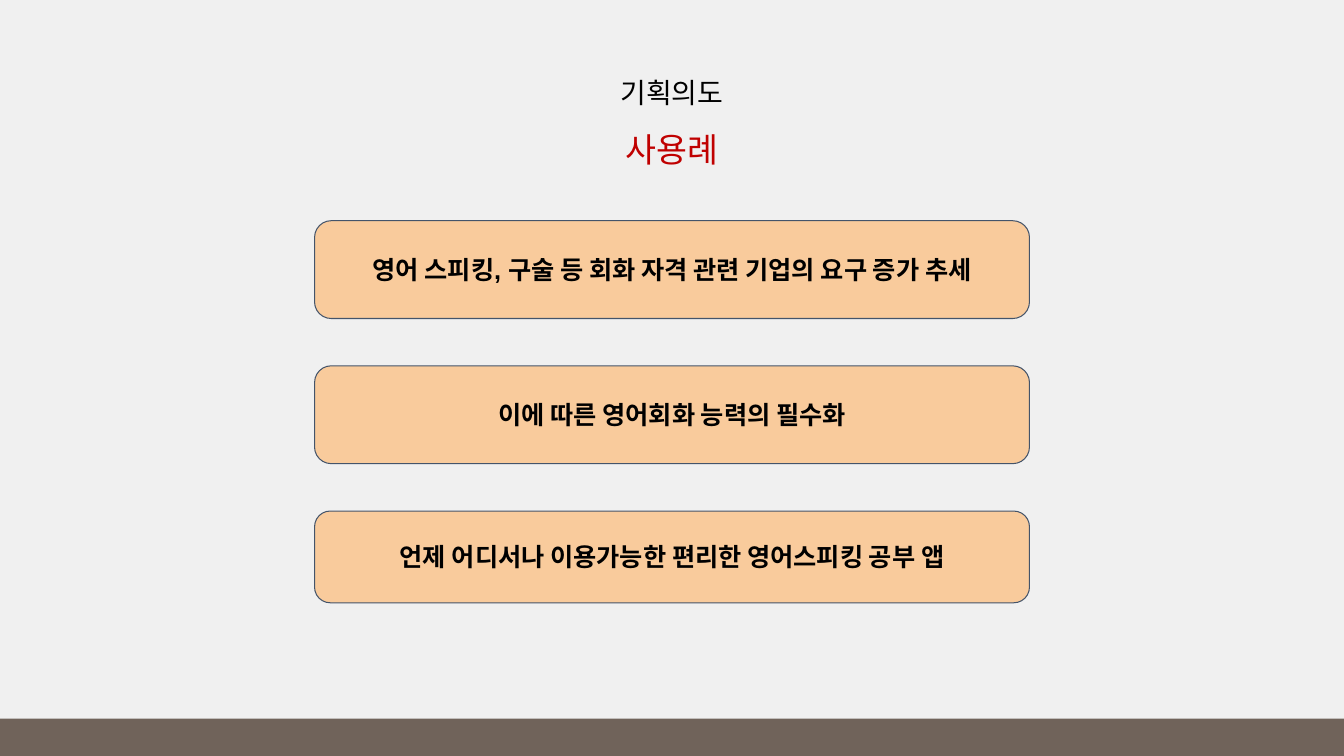
from pptx import Presentation
from pptx import util as u
from pptx.dml.color import RGBColor
from pptx.enum import shapes, text

COLORS = {
    "background": "F0F0F0",
    "footer": "70635A",
    "box": "F9CB9C",
    "outline": "44546A",
    "text": "000000",
    "accent": "C00000",
}


def add_block(kind, left, top, width, height, color):
    sp = s.shapes.add_shape(kind, u.Inches(left), u.Inches(top), u.Inches(width), u.Inches(height))
    sp.shadow.inherit = False
    sp.fill.solid()
    sp.fill.fore_color.rgb = RGBColor.from_string(COLORS[color])
    sp.line.fill.background()
    return sp


def add_run(p, words, size, color, bold=False):
    p.alignment = text.PP_ALIGN.CENTER
    r = p.add_run()
    r.text = words
    r.font.name = "Arial"
    r.font.size = u.Pt(size)
    r.font.bold = bold
    r.font.color.rgb = RGBColor.from_string(COLORS[color])


prs = Presentation()
prs.slide_width = u.Inches(13.33)
prs.slide_height = u.Inches(7.5)
s = prs.slides.add_slide(prs.slide_layouts[6])

add_block(shapes.MSO_SHAPE.RECTANGLE, 0, 0, 13.33, 7.5, "background")

title = s.shapes.add_textbox(u.Inches(3.81), u.Inches(0.53), u.Inches(5.71), u.Inches(1.14))
tf = title.text_frame
tf.word_wrap = True
headings = [("기획의도", 20, "text"), ("사용례", 24, "accent")]
for i, (words, size, color) in enumerate(headings):
    p = tf.add_paragraph() if i else tf.paragraphs[0]
    p.line_spacing = 1.5
    add_run(p, words, size, color)

reasons = [
    ("영어 스피킹, 구술 등 회화 자격 관련 기업의 요구 증가 추세", 0.97),
    ("이에 따른 영어회화 능력의 필수화", 0.97),
    ("언제 어디서나 이용가능한 편리한 영어스피킹 공부 앱", 0.91),
]
for i, (words, height) in enumerate(reasons):
    sp = add_block(shapes.MSO_SHAPE.ROUNDED_RECTANGLE, 3.12, 2.19 + 1.44 * i, 7.09, height, "box")
    sp.adjustments[0] = 0.17
    sp.line.color.rgb = RGBColor.from_string(COLORS["outline"])
    sp.line.width = u.Pt(0.75)
    tf = sp.text_frame
    tf.word_wrap = True
    tf.vertical_anchor = text.MSO_ANCHOR.MIDDLE
    tf.margin_left = tf.margin_right = tf.margin_top = tf.margin_bottom = u.Inches(0.1)
    add_run(tf.paragraphs[0], words, 18, "text", bold=True)

add_block(shapes.MSO_SHAPE.RECTANGLE, 0, 7.13, 13.33, 0.37, "footer")

prs.save("out.pptx")
